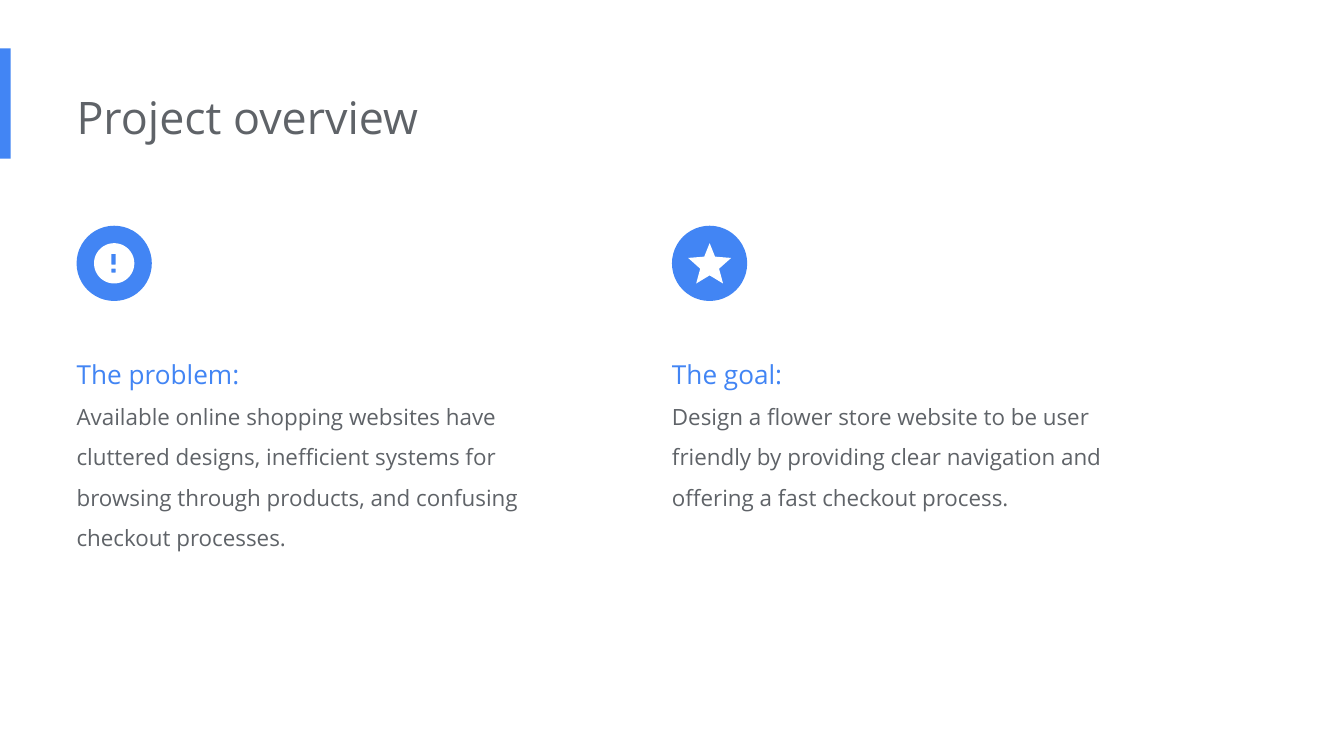
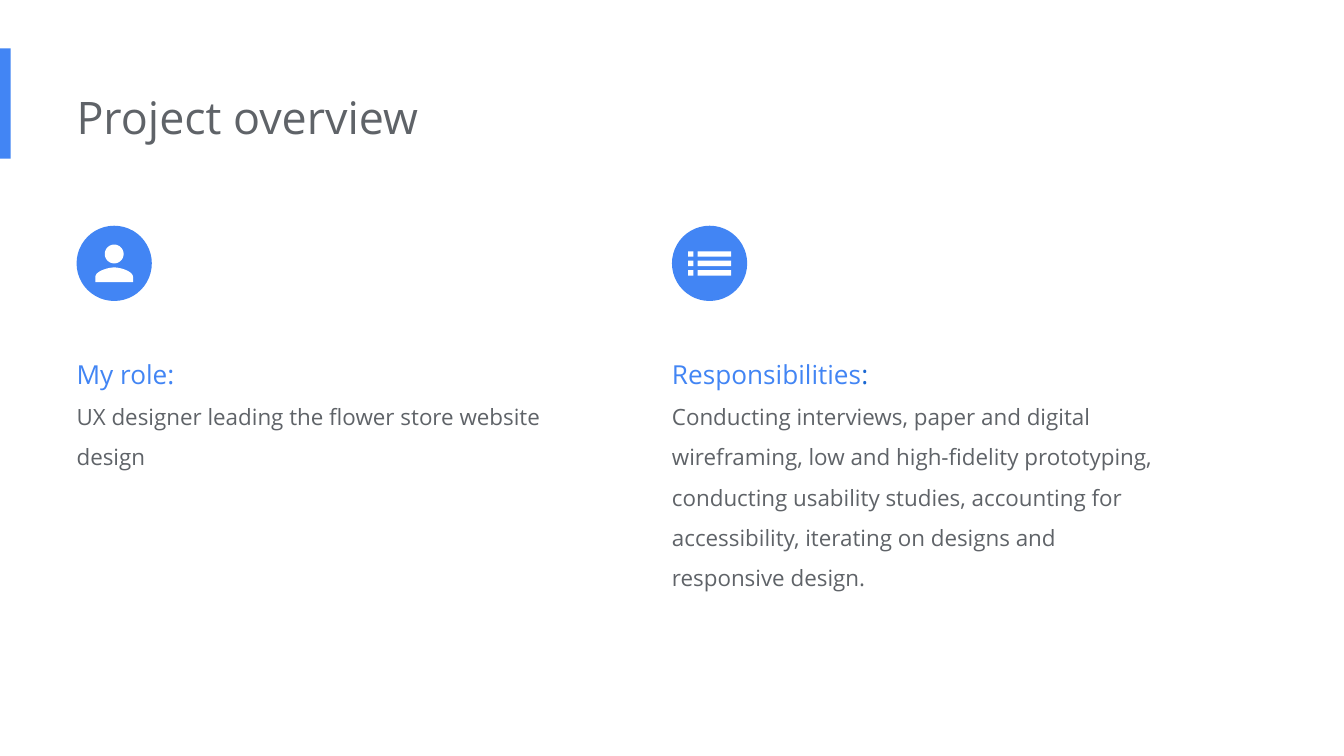
import math
from dataclasses import dataclass

import pptx
import pptx.dml.color
import pptx.enum.shapes
import pptx.enum.text
import pptx.util

Inches = pptx.util.Inches
Pt = pptx.util.Pt
RGB = pptx.dml.color.RGBColor.from_string
SHAPES = pptx.enum.shapes.MSO_SHAPE


@dataclass(frozen=True)
class Theme:
    blue: pptx.dml.color.RGBColor = RGB("4285F4")
    dark_blue: pptx.dml.color.RGBColor = RGB("1967D2")
    grey: pptx.dml.color.RGBColor = RGB("5F6368")
    white: pptx.dml.color.RGBColor = RGB("FFFFFF")
    font: str = "Open Sans"
    title_size: Pt = Pt(24)
    heading_size: Pt = Pt(14)
    body_size: Pt = Pt(12)
    line_spacing: float = 1.5


THEME = Theme()
COLUMN_LEFTS = (0.57, 5)
COLUMN_WIDTH = 3.77
BADGE_TOP = 1.68
BADGE_SIZE = 0.56
TEXT_TOP = 2.45


def paint(shape, color):
    shape.shadow.inherit = False
    shape.fill.solid()
    shape.fill.fore_color.rgb = color
    shape.line.fill.background()


def add_solid(slide, kind, left, top, width, height):
    shape = slide.shapes.add_shape(
        kind, Inches(left), Inches(top), Inches(width), Inches(height))
    paint(shape, THEME.blue)


def add_text_frame(slide, left, top, width, height):
    frame = slide.shapes.add_textbox(
        Inches(left), Inches(top), Inches(width), Inches(height)).text_frame
    frame.word_wrap = True
    frame.auto_size = pptx.enum.text.MSO_AUTO_SIZE.SHAPE_TO_FIT_TEXT
    frame.margin_left = 0
    frame.margin_top = frame.margin_right = frame.margin_bottom = Inches(0.1)
    return frame


def write(paragraph, text, size, color, line_spacing=None):
    paragraph.add_run().text = text
    paragraph.font.name = THEME.font
    paragraph.font.size = size
    paragraph.font.color.rgb = color
    paragraph.line_spacing = line_spacing


def box(left, top, width, height):
    right, bottom = left + width, top + height
    return [(left, top), (right, top), (right, bottom), (left, bottom)]


def circle(center_y, radius, steps=60):
    angles = [2 * math.pi * step / steps for step in range(steps)]
    return [(radius * math.cos(a), center_y + radius * math.sin(a)) for a in angles]


def curve(start, control_1, control_2, end, steps=16):
    points = []
    for step in range(steps + 1):
        t = step / steps
        weights = ((1 - t) ** 3, 3 * t * (1 - t) ** 2, 3 * t * t * (1 - t), t ** 3)
        points.append(tuple(
            sum(w * value for w, value in zip(weights, axis))
            for axis in zip(start, control_1, control_2, end)))
    return points


def alert_icon():
    return [circle(0, 0.15), box(-0.02, -0.07, 0.03, 0.08), box(-0.02, 0.04, 0.03, 0.03)]


def star_icon():
    right_side = [(0.04, -0.05), (0.16, -0.04), (0.07, 0.04), (0.1, 0.15)]
    left_side = [(-x, y) for x, y in reversed(right_side)]
    return [[(0, -0.15), *right_side, (0, 0.09), *left_side]]


def person_icon():
    right_shoulder = curve((0, 0.03), (0.05, 0.03), (0.14, 0.06), (0.14, 0.1))
    left_shoulder = [(-x, y) for x, y in reversed(right_shoulder)]
    return [circle(-0.07, 0.07), right_shoulder + [(0.14, 0.14), (-0.14, 0.14)] + left_shoulder]


def list_icon():
    contours = []
    for row in range(3):
        top = -0.09 + 0.07 * row
        contours += [box(-0.16, top, 0.04, 0.04), box(-0.09, top, 0.25, 0.04)]
    return contours


def add_icon(slide, contours, center_x, center_y):
    placed = [[(Inches(center_x + x), Inches(center_y + y)) for x, y in contour]
              for contour in contours]
    builder = slide.shapes.build_freeform(*placed[0][0])
    for index, contour in enumerate(placed):
        if index:
            builder.move_to(*contour[0])
        builder.add_line_segments(contour[1:], close=True)
    paint(builder.convert_to_shape(), THEME.white)


def add_title(slide, title):
    add_solid(slide, SHAPES.RECTANGLE, 0, 0.36, 0.08, 0.82)
    frame = add_text_frame(slide, 0.57, 0.57, 6.73, 0.61)
    write(frame.paragraphs[0], title, THEME.title_size, THEME.grey)


def add_column(slide, left, icon, heading, body, height, colon_color=None):
    add_solid(slide, SHAPES.OVAL, left, BADGE_TOP, BADGE_SIZE, BADGE_SIZE)
    add_icon(slide, icon, left + BADGE_SIZE / 2, BADGE_TOP + BADGE_SIZE / 2)
    frame = add_text_frame(slide, left, TEXT_TOP, COLUMN_WIDTH, height)
    heading_line = frame.paragraphs[0]
    write(heading_line, heading if colon_color else heading + ":",
          THEME.heading_size, THEME.blue, THEME.line_spacing)
    if colon_color:
        colon = heading_line.add_run()
        colon.text = ":"
        colon.font.color.rgb = colon_color
    write(frame.add_paragraph(), body, THEME.body_size, THEME.grey, THEME.line_spacing)


def add_overview(deck, columns):
    slide = deck.slides.add_slide(deck.slide_layouts[6])
    add_title(slide, "Project overview")
    for left, column in zip(COLUMN_LEFTS, columns):
        add_column(slide, left, *column)


def main():
    deck = pptx.Presentation()
    deck.slide_width = Inches(10)
    deck.slide_height = Inches(10 * 9 / 16)
    add_overview(deck, [
        (alert_icon(), "The problem",
         "Available online shopping websites have cluttered designs, inefficient "
         "systems for browsing through products, and confusing checkout processes.", 1.77),
        (star_icon(), "The goal",
         "Design a flower store website to be user friendly by providing clear "
         "navigation and offering a fast checkout process.", 1.46),
    ])
    add_overview(deck, [
        (person_icon(), "My role",
         "UX designer leading the flower store website design", 1.16),
        (list_icon(), "Responsibilities",
         "Conducting interviews, paper and digital wireframing, low and high-fidelity "
         "prototyping, conducting usability studies, accounting for accessibility, "
         "iterating on designs and responsive design.", 2.07, THEME.dark_blue),
    ])
    deck.save("out.pptx")


if __name__ == "__main__":
    main()
